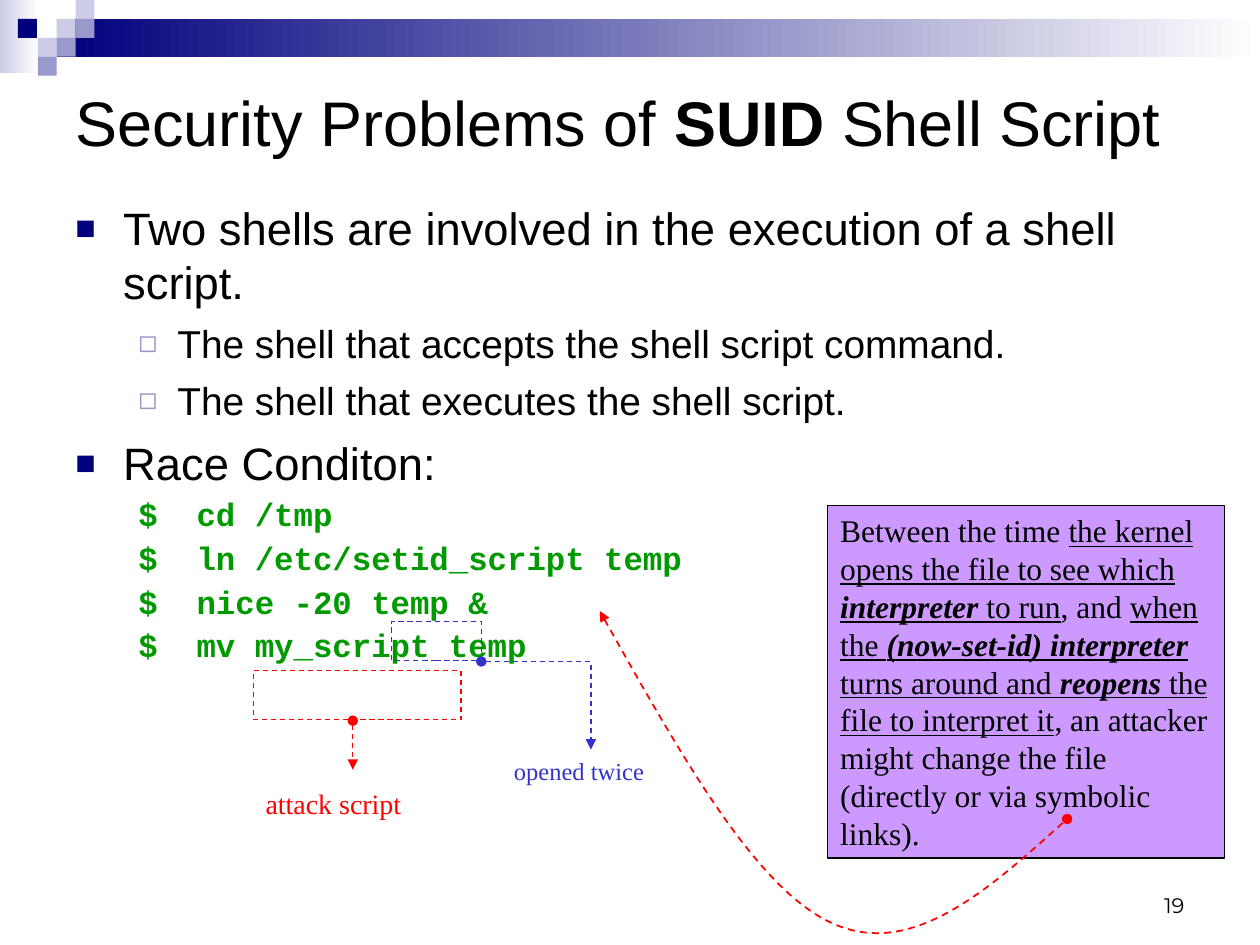
from lxml import etree
from pptx import Presentation
from pptx.dml.color import RGBColor
from pptx.enum.dml import MSO_LINE
from pptx.enum.shapes import MSO_CONNECTOR, MSO_SHAPE
from pptx.enum.text import MSO_ANCHOR, PP_ALIGN
from pptx.oxml.ns import qn
from pptx.util import Inches, Pt

RECT = MSO_SHAPE.RECTANGLE
LINE = MSO_CONNECTOR.STRAIGHT
DASH = MSO_LINE.DASH
TOP, MID, LOW = MSO_ANCHOR.TOP, MSO_ANCHOR.MIDDLE, MSO_ANCHOR.BOTTOM
RIGHT = PP_ALIGN.RIGHT
CELL = Inches(0.1)
COLS, ROWS = 100, 75
NAVY, PALE, LILAC, WHITE = "00007D", "CCCCE6", "9999CC", "FFFFFF"
BLACK, RED, BLUE, GREEN, MAUVE = "000000", "FF0000", "3333CC", "009900", "CC99FF"
SANS, SERIF, MONO, DIGIT = "Arial", "Times New Roman", "Courier New", "Montserrat"


def color(code):
    return RGBColor.from_string(code)


def cells(*nums):
    return [round(n * CELL) for n in nums]


def shift(box, col, row):
    return box[0] + col, box[1] + row


def stroke(item, tint, width=0.75, dash=True, head=None, tail=None):
    item.line.color.rgb = color(tint)
    item.line.width = Pt(width)
    if dash:
        item.line.dash_style = DASH
    ln = item.line._get_or_add_ln()
    for tag, kind in (("a:headEnd", head), ("a:tailEnd", tail)):
        if kind:
            etree.SubElement(ln, qn(tag), type=kind)


def block(slide, box, fill=None, fade=None):
    item = slide.shapes.add_shape(RECT, *cells(*box))
    item.shadow.inherit = False
    item.line.fill.background()
    if fade:
        item.fill.gradient()
        item.fill.gradient_angle = 0
        for stop, tint in zip(item.fill.gradient_stops, fade):
            stop.color.rgb = color(tint)
    elif fill:
        item.fill.solid()
        item.fill.fore_color.rgb = color(fill)
    else:
        item.fill.background()
    return item


def mark(para, sign, tint, size):
    props = para._p.get_or_add_pPr()
    hue = etree.SubElement(props, qn("a:buClr"))
    etree.SubElement(hue, qn("a:srgbClr"), val=tint)
    etree.SubElement(props, qn("a:buSzPct"), val=str(size * 1000))
    etree.SubElement(props, qn("a:buFont"), typeface=SANS)
    etree.SubElement(props, qn("a:buChar"), char=sign)


def write(para, text, size=18, face=SANS, tint=BLACK, style="", gap=0,
          lead=None, left=0, hang=0, bullet=None, align=None):
    para.space_before = Pt(gap)
    if lead:
        para.line_spacing = lead
    if align:
        para.alignment = align
    if left:
        props = para._p.get_or_add_pPr()
        props.set("marL", str(Inches(left)))
        props.set("indent", str(-Inches(hang)))
    if bullet:
        mark(para, *bullet)
    pairs = [(text, style)] if isinstance(text, str) else text
    for words, flags in pairs:
        run = para.add_run()
        run.text = words
        font = run.font
        font.size, font.name = Pt(size), face
        font.color.rgb = color(tint)
        font.bold, font.italic = "b" in flags, "i" in flags
        font.underline = "u" in flags


def frame(slide, box, anchor=TOP):
    area = slide.shapes.add_textbox(*cells(*box)).text_frame
    area.word_wrap = True
    area.vertical_anchor = anchor
    return area


def label(slide, box, text, anchor=TOP, **form):
    write(frame(slide, box, anchor).paragraphs[0], text, **form)


def band(slide, box):
    left, top, width, height = box
    side = height / 4
    block(slide, (left, top, 3.1, 5.8), fade=(PALE, WHITE))
    block(slide, (left + 3 * side, top + side, width - 3 * side, 2 * side), fade=(NAVY, WHITE))
    tiles = ((3, 1, PALE), (4, 0, PALE), (4, 1, LILAC), (2, 2, PALE),
             (0.95, 1, NAVY), (3, 2, LILAC), (2, 3, LILAC))
    for col, row, tint in tiles:
        block(slide, (*shift(box, col * side, row * side), side, side), tint)


def title(slide, box):
    text = [("Security Problems of ", ""), ("SUID", "b"), (" Shell Script", "")]
    label(slide, box, text, anchor=MID, size=36)


def points(slide, box):
    main = dict(size=25.9, gap=7, left=0.38, hang=0.38, bullet=("■", NAVY, 75))
    sub = dict(size=22.2, gap=6, left=0.81, hang=0.31, bullet=("◻", LILAC, 80))
    code = dict(size=18.5, face=MONO, tint=GREEN, style="b", gap=5, lead=0.9,
                left=0.81, hang=0.31)
    rows = (
        ("Two shells are involved in the execution of a shell script.", main),
        ("The shell that accepts the shell script command.", sub),
        ("The shell that executes the shell script.", sub),
        ("Race Conditon:", main),
        ("$  cd /tmp", code),
        ("$  ln /etc/setid_script temp", code),
        ("$  nice -20 temp &", code),
        ("$  mv my_script temp", code),
    )
    area = frame(slide, box)
    for num, (text, form) in enumerate(rows):
        para = area.add_paragraph() if num else area.paragraphs[0]
        write(para, text, **{**form, "gap": form["gap"] if num else 0})


def note(slide, box):
    item = block(slide, box, MAUVE)
    stroke(item, BLACK, dash=False)
    area = item.text_frame
    area.word_wrap = True
    area.vertical_anchor = TOP
    text = [
        ("Between the time ", ""), ("the kernel opens the file to see which ", "u"),
        ("interpreter", "biu"), (" to run", "u"), (", and ", ""), ("when the ", "u"),
        ("(now-set-id) interpreter", "biu"), (" turns around and ", "u"),
        ("reopens", "biu"), (" the file to interpret it", "u"),
        (", an attacker might change the file (directly or via symbolic links).", ""),
    ]
    para = area.paragraphs[0]
    para.alignment = PP_ALIGN.LEFT
    write(para, text, face=SERIF)


def trace(slide, box, spots, tint, curve=False, **ends):
    dots = [cells(*shift(box, *spot)) for spot in spots]
    pen = slide.shapes.build_freeform(*dots[0])
    pen.add_line_segments(dots[1:], close=False)
    item = pen.convert_to_shape()
    item.shadow.inherit = False
    item.fill.background()
    stroke(item, tint, **ends)
    if curve:
        legs = list(item.element.iter(qn("a:lnTo")))
        for num in range(0, len(legs), 3):
            legs[num].tag = qn("a:cubicBezTo")
            for leg in legs[num + 1:num + 3]:
                legs[num].append(leg[0])
                leg.getparent().remove(leg)


def attack(slide, box):
    stroke(block(slide, (*box[:2], 16.5, 3.9)), RED)
    label(slide, (*shift(box, 0, 8.7), 14.2, 3.7), "attack script", size=16, face=SERIF, tint=RED)
    ends = shift(box, 7.9, 4) + shift(box, 7.9, 7.9)
    arrow = slide.shapes.add_connector(LINE, *cells(*ends))
    etree.SubElement(arrow.element.spPr, qn("a:effectLst"))
    stroke(arrow, RED, head="oval", tail="triangle")


def twice(slide, box):
    stroke(block(slide, (*box[:2], 7.1, 3.1)), BLUE)
    label(slide, (*shift(box, 8.7, 10.2), 14.2, 3.4), "opened twice",
          size=14, face=SERIF, tint=BLUE)
    trace(slide, box, ((7.1, 3.2), (15.8, 3.2), (15.8, 10.2)), BLUE, head="oval", tail="triangle")


def swoop(slide, box):
    spots = ((0, 0), (6.2, 11), (12.4, 22.1), (18.5, 24.8),
             (24.7, 27.6), (30.9, 22.1), (37.1, 16.5))
    trace(slide, box, spots, RED, curve=True, width=1, head="triangle", tail="oval")


def main():
    deck = Presentation()
    deck.slide_width, deck.slide_height = cells(COLS, ROWS)
    slide = deck.slides.add_slide(deck.slide_layouts[6])
    band(slide, (0, 0, COLS, 6))
    label(slide, (71.7, 68.3, 23.3, 5), "19", anchor=LOW, size=12, face=DIGIT, align=RIGHT)
    points(slide, (5, 15.4, 90, 41))
    title(slide, (5, 2.1, 90, 15))
    note(slide, (65.7, 40.1, 31.5, 28))
    swoop(slide, (47.6, 48.5))
    attack(slide, (20.1, 53.2))
    twice(slide, (31.1, 49.3))
    deck.save("out.pptx")


if __name__ == "__main__":
    main()
